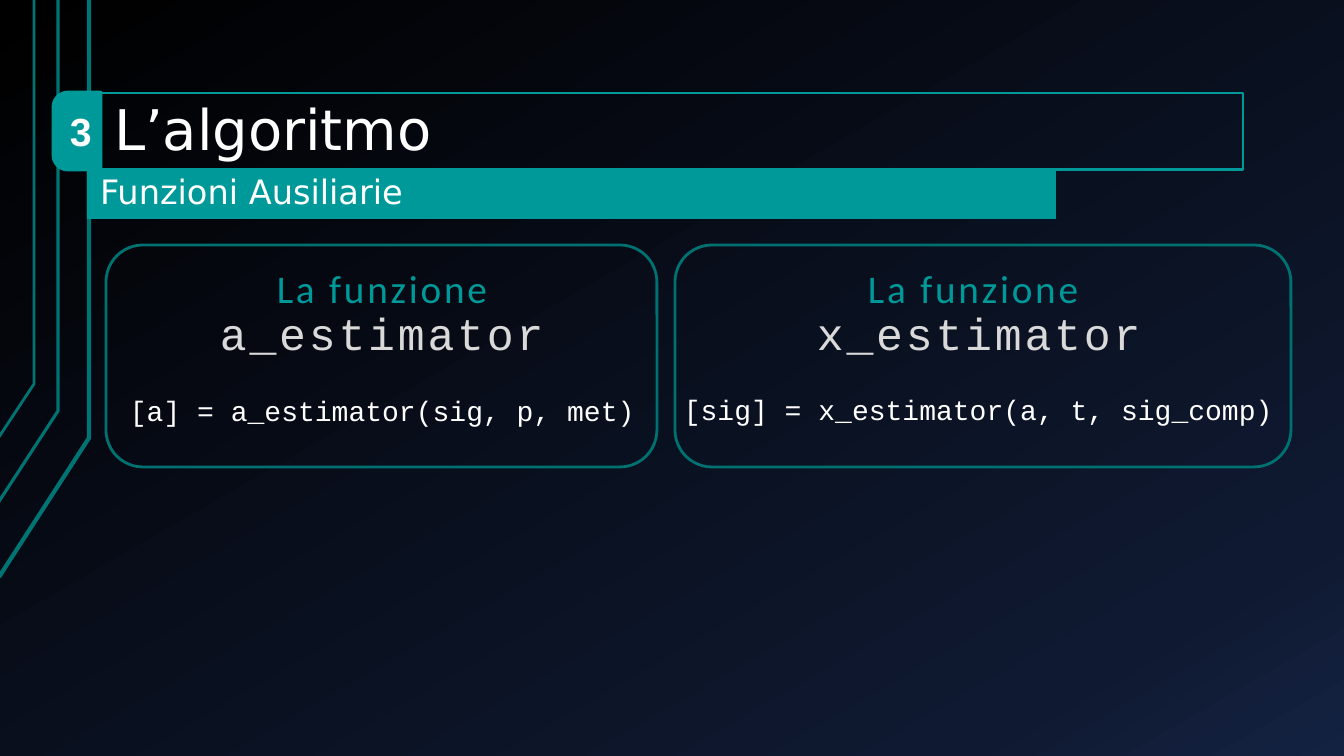
import copy

import pptx
import pptx.dml.color
import pptx.enum.shapes
import pptx.enum.text
import pptx.oxml.ns
import pptx.util

RGBColor = pptx.dml.color.RGBColor
Shape = pptx.enum.shapes.MSO_SHAPE
Align = pptx.enum.text.PP_ALIGN
Anchor = pptx.enum.text.MSO_ANCHOR
qn = pptx.oxml.ns.qn

TEAL = RGBColor(0x00, 0x99, 0x99)
RAIL_TEAL = RGBColor(0x00, 0x73, 0x73)
CARD_TEAL = RGBColor(0x00, 0x71, 0x71)
WHITE = RGBColor(0xFF, 0xFF, 0xFF)
LIGHT_GREY = RGBColor(0xD9, 0xD9, 0xD9)
BACKDROP = [
    (0, RGBColor(0x00, 0x00, 0x00)),
    (0.85, RGBColor(0x0F, 0x19, 0x31)),
    (1, RGBColor(0x14, 0x22, 0x42)),
]

SECTION = ("L’algoritmo", (101, 93, 1142, 77))
SUBTITLE = ("Funzioni Ausiliarie", (87, 170, 969, 49))
NUMBER = ("3", (60, 102, 48, 57))
BADGE = (38, 107, 78, 48)
RAILS = [
    ([(-1, 577), (89, 438), (89, 0)], 3),
    ([(-2, 503), (58, 411), (58, 0)], 2.25),
    ([(-1, 437), (34, 384), (34, 0)], 2),
]
CARDS = [
    {
        "frame": (106, 245, 551, 222),
        "heading": ("La funzione", "a_estimator"),
        "heading_box": (102, 248, 560, 119),
        "call": "[a] = a_estimator(sig, p, met)",
        "call_box": (67, 390, 631, 47),
    },
    {
        "frame": (675, 245, 616, 222),
        "heading": ("La funzione ", "x_estimator"),
        "heading_box": (699, 248, 560, 119),
        "call": "[sig] = x_estimator(a, t, sig_comp)",
        "call_box": (653, 389, 651, 47),
    },
]

PX = 914400 / 100.8


def emu(box):
    return [round(length * PX) for length in box]


def write(part, lines, align=Align.LEFT, anchor=Anchor.BOTTOM):
    frame = part.text_frame
    frame.word_wrap = True
    frame.auto_size = pptx.enum.text.MSO_AUTO_SIZE.NONE
    frame.vertical_anchor = anchor
    frame.margin_left = frame.margin_right = round(13 * PX)
    frame.margin_top = frame.margin_bottom = round(7 * PX)
    frame.text = "\n".join(line[0] for line in lines)
    for paragraph, (_, font, size, color) in zip(frame.paragraphs, lines):
        paragraph.alignment = align
        paragraph.line_spacing = 0.9
        paragraph.font.name = font
        paragraph.font.size = pptx.util.Pt(size)
        paragraph.font.color.rgb = color
    return frame


def paint(part, fill=None, line=None, width=2):
    part.shadow.inherit = False
    if fill is None:
        part.fill.background()
    else:
        part.fill.solid()
        part.fill.fore_color.rgb = fill
    if line is None:
        part.line.fill.background()
    else:
        part.line.color.rgb = line
        part.line.width = pptx.util.Pt(width)


def paint_backdrop(slide):
    fill = slide.background.fill
    fill.gradient()
    fill.gradient_angle = 300
    stop_list = slide.element.find(".//" + qn("a:gsLst"))
    stop_list.append(copy.deepcopy(stop_list[-1]))
    for stop, (position, color) in zip(fill.gradient_stops, BACKDROP):
        stop.position = position
        stop.color.rgb = color


def main():
    deck = pptx.Presentation()
    deck.slide_width, deck.slide_height = emu((1344, 756))
    slide = deck.slides.add_slide(deck.slide_layouts[5])
    shapes = slide.shapes
    paint_backdrop(slide)

    for points, width in RAILS:
        builder = shapes.build_freeform(*points[0], scale=PX)
        builder.add_line_segments(points[1:], close=False)
        paint(builder.convert_to_shape(), line=RAIL_TEAL, width=width)

    text, box = SUBTITLE
    subtitle = shapes.title
    subtitle.left, subtitle.top, subtitle.width, subtitle.height = emu(box)
    paint(subtitle, fill=TEAL)
    write(subtitle, [(text, "DejaVu Sans", 24, WHITE)])
    shapes.element.append(subtitle.element)

    for card in CARDS:
        label, function = card["heading"]
        heading = write(
            shapes.add_textbox(*emu(card["heading_box"])),
            [(label, "Calibri", 28, TEAL), (function, "Courier New", 32, LIGHT_GREY)],
            Align.CENTER,
        )
        for paragraph in heading.paragraphs:
            paragraph.runs[0].font._element.set("spc", "200")
        write(
            shapes.add_textbox(*emu(card["call_box"])),
            [(card["call"], "Courier New", 20, WHITE)],
            Align.CENTER,
            Anchor.TOP,
        )
        paint(shapes.add_shape(Shape.ROUNDED_RECTANGLE, *emu(card["frame"])), line=CARD_TEAL)

    text, box = SECTION
    section = shapes.add_shape(Shape.RECTANGLE, *emu(box))
    paint(section, line=TEAL)
    write(section, [(text, "DejaVu Sans", 40, WHITE)])

    badge = shapes.add_shape(Shape.ROUND_2_SAME_RECTANGLE, *emu(BADGE))
    badge.rotation = 270
    badge.adjustments[0] = 0.31
    paint(badge, fill=TEAL, line=TEAL)

    text, box = NUMBER
    number = shapes.add_textbox(*emu(box)).text_frame
    number.word_wrap = True
    number.text = text
    digit = number.paragraphs[0].font
    digit.name = "Arial"
    digit.size = pptx.util.Pt(28)
    digit.bold = True
    digit.color.rgb = WHITE

    deck.save("out.pptx")


if __name__ == "__main__":
    main()
